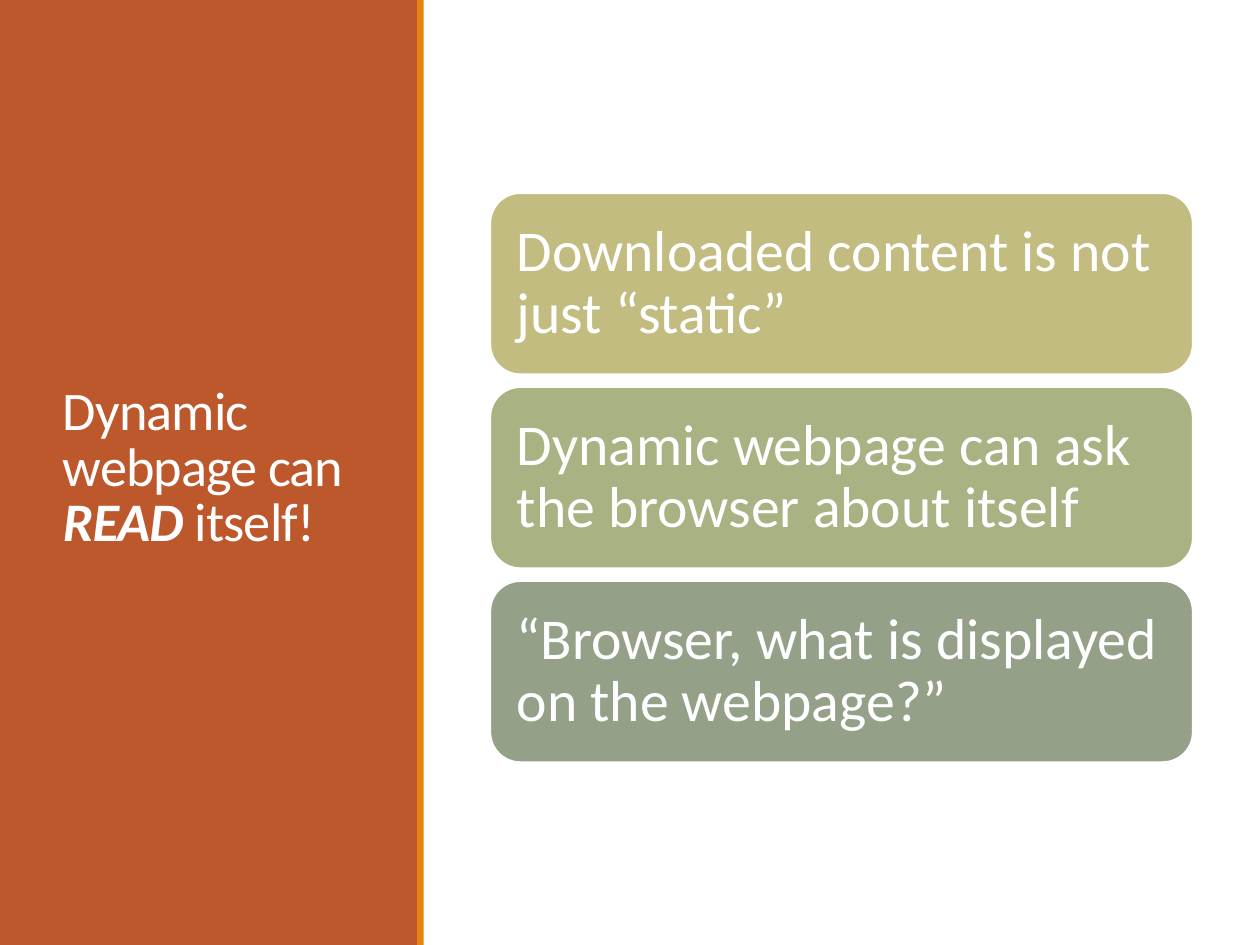
from dataclasses import dataclass

from pptx import Presentation
from pptx.dml.color import RGBColor
from pptx.enum.shapes import MSO_SHAPE
from pptx.enum.text import MSO_ANCHOR, PP_ALIGN
from pptx.util import Cm, Pt

RECTANGLE = MSO_SHAPE.RECTANGLE
ROUNDED = MSO_SHAPE.ROUNDED_RECTANGLE
MIDDLE = MSO_ANCHOR.MIDDLE
LEFT = PP_ALIGN.LEFT


@dataclass(frozen=True)
class Theme:
    font: str = "Calibri"
    white: str = "FFFFFF"
    panel: str = "BD582C"
    stripe: str = "E48312"
    cards: tuple = ("C2BC80", "A8B283", "94A088")
    title_size: int = 31
    card_size: int = 33


THEME = Theme()
SLIDE_WIDTH, SLIDE_HEIGHT = 25.4, 19.05
TITLE = (
    ("Dynamic webpage can ", False),
    ("READ", True),
    (" itself!", False),
)
CARDS = (
    "Downloaded content is not just “static”",
    "Dynamic webpage can ask the browser about itself",
    "“Browser, what is displayed on the webpage?”",
)


def add_block(slide, kind, box, fill, line=None):
    shape = slide.shapes.add_shape(kind, *map(Cm, box))
    shape.shadow.inherit = False
    shape.fill.solid()
    shape.fill.fore_color.rgb = RGBColor.from_string(fill)
    if line:
        shape.line.color.rgb = RGBColor.from_string(line)
        shape.line.width = Pt(1.25)
    else:
        shape.line.fill.background()
    return shape


def write_text(shape, runs, size, line_spacing, insets, tracking=0):
    frame = shape.text_frame
    frame.word_wrap = True
    frame.vertical_anchor = MIDDLE
    frame.margin_left = frame.margin_right = Cm(insets[0])
    frame.margin_top = frame.margin_bottom = Cm(insets[1])
    paragraph = frame.paragraphs[0]
    paragraph.alignment = LEFT
    paragraph.line_spacing = line_spacing
    for text, emphasis in runs:
        run = paragraph.add_run()
        run.text = text
        font = run.font
        font.name, font.size = THEME.font, Pt(size)
        font.bold = font.italic = emphasis
        font.color.rgb = RGBColor.from_string(THEME.white)
        if tracking:
            run._r.get_or_add_rPr().set("spc", str(round(tracking * 100)))


def add_title_panel(slide, left, top, width, height):
    add_block(slide, RECTANGLE, (left, top, width, height), THEME.panel)
    title_box = (left + 1.02, top + 1.45, width - 2, height - 3.02)
    title = slide.shapes.add_textbox(*map(Cm, title_box))
    write_text(title, TITLE, THEME.title_size, 0.85, (0.25, 0.13), tracking=-0.5)
    add_block(slide, RECTANGLE, (left + width - 0.02, top, 0.13, height), THEME.stripe)


def add_cards(slide, left, top, width, height, gap=0.25):
    card_height = (height - gap * (len(CARDS) - 1)) / len(CARDS)
    for index, (text, fill) in enumerate(zip(CARDS, THEME.cards)):
        card_top = top + index * (card_height + gap)
        card = add_block(
            slide, ROUNDED, (left, card_top, width, card_height), fill, THEME.white
        )
        write_text(card, [(text, False)], THEME.card_size, 0.9, (0.36, 0.36))


def main():
    presentation = Presentation()
    presentation.slide_width = Cm(SLIDE_WIDTH)
    presentation.slide_height = Cm(SLIDE_HEIGHT)
    slide = presentation.slides.add_slide(presentation.slide_layouts[6])
    add_title_panel(slide, 0, 0, 8.43, SLIDE_HEIGHT)
    add_cards(slide, 9.88, 3.89, 14.17, 11.48)
    presentation.save("out.pptx")


if __name__ == "__main__":
    main()
